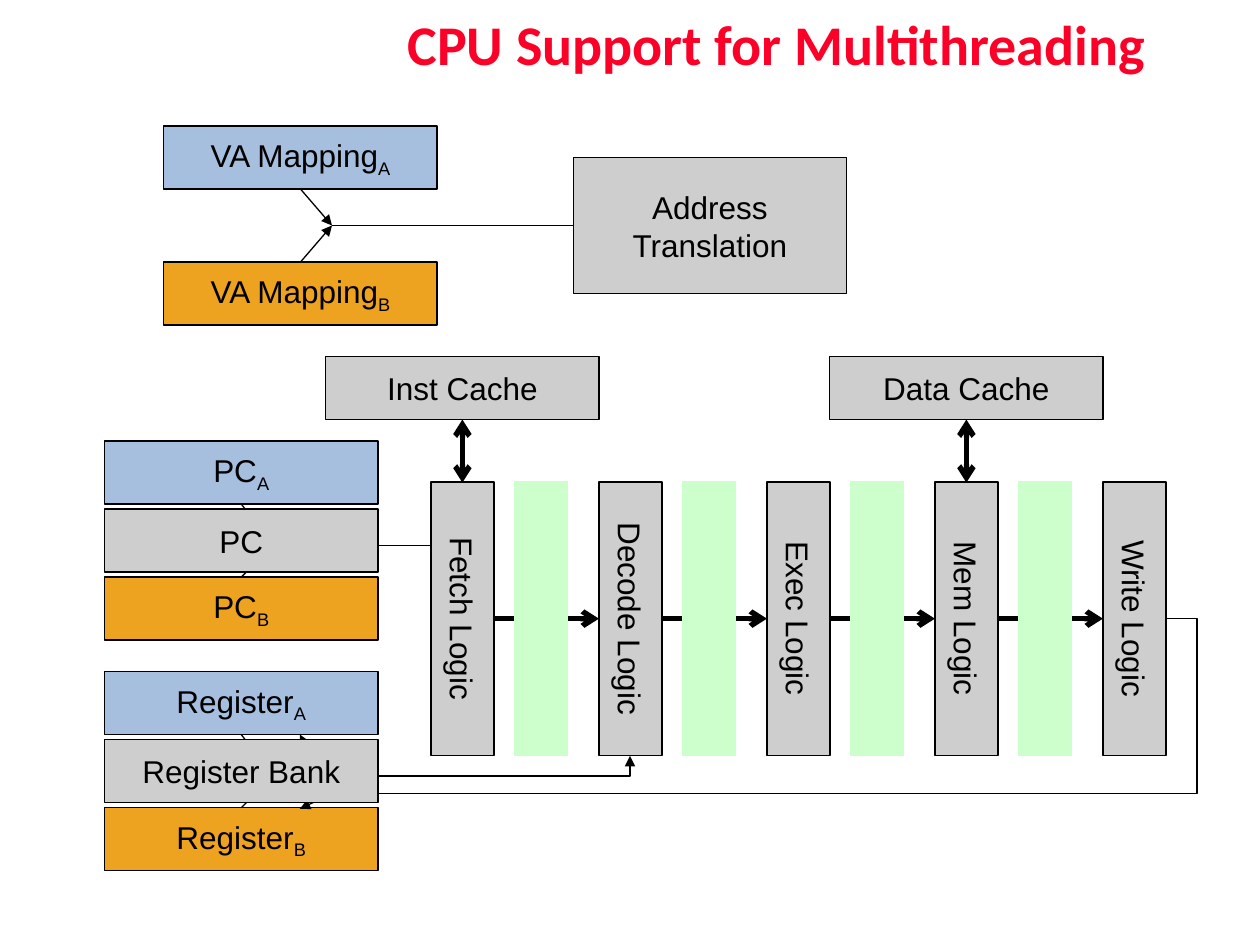
from dataclasses import dataclass

from pptx import Presentation
from pptx import util as u
from pptx.dml.color import RGBColor
from pptx.enum import shapes, text
from pptx.oxml import ns, xmlchemy


@dataclass(frozen=True)
class Theme:
    title: str = "FC0128"
    ink: str = "000000"
    logic: str = "CECECE"
    latch: str = "CCFFCC"
    thread_a: str = "A6BFDE"
    thread_b: str = "EDA31F"
    title_font: str = "Calibri"
    body_font: str = "Arial"
    title_size: int = 32
    body_size: int = 18
    thin: float = 0.75
    thick: float = 3


THEME = Theme()

TITLE = "CPU Support for Multithreading"
STAGES = ["Fetch Logic", "Decode Logic", "Exec Logic", "Mem Logic", "Write Logic"]
# cache name, index of the stage it serves
CACHES = [("Data Cache", 3), ("Inst Cache", 0)]
# name, left, top, drop from top to the junction, x where the output wire ends
THREAD_PAIRS = [
    ("PC", 0.83, 3.5, 0.83, 3.42),
    ("VA Mapping", 1.3, 1, 0.79, 4.55),
    ("Register", 0.83, 5.33, 0.83, 3.42),
]
# lines of text, left, top, height
SHARED_UNITS = [
    (["Address", "Translation"], 4.55, 1.25, 1.08),
    (["PC"], 0.83, 4.04, 0.5),
    (["Register Bank"], 0.83, 5.87, 0.5),
]

BOX_WIDTH, BOX_HEIGHT = 2.17, 0.5
PAIR_STEP = 1.08
STAGE_X, STAGE_Y, STAGE_PITCH = 3.67, 4.91, 4 / 3
LATCH_OFFSET, LATCH_WIDTH = 0.625, 0.42
CACHE_TOP, STAGE_TOP = 2.83, 3.83

presentation = Presentation()
presentation.slide_width = u.Inches(10)
presentation.slide_height = u.Inches(7.5)
slide = presentation.slides.add_slide(presentation.slide_layouts[6])


def rgb(value):
    return RGBColor.from_string(value)


def add_run(paragraph, wording, font, size, color, bold=False):
    run = paragraph.add_run()
    run.text = wording
    run.font.name = font
    run.font.size = u.Pt(size)
    run.font.bold = bold
    run.font.color.rgb = rgb(color)
    return run


def add_box(left, top, width, height, fill, lines=(), subscript="",
            rotation=0, outline=THEME.ink):
    shape = slide.shapes.add_shape(
        shapes.MSO_SHAPE.RECTANGLE,
        *map(u.Inches, (left, top, width, height)))
    shape.shadow.inherit = False
    shape.rotation = rotation
    shape.fill.solid()
    shape.fill.fore_color.rgb = rgb(fill)
    shape.line.color.rgb = rgb(outline)
    shape.line.width = u.Pt(THEME.thin)
    frame = shape.text_frame
    frame.word_wrap = False
    frame.vertical_anchor = text.MSO_ANCHOR.MIDDLE
    for index, wording in enumerate(lines):
        paragraph = frame.add_paragraph() if index else frame.paragraphs[0]
        paragraph.alignment = text.PP_ALIGN.CENTER
        style = (THEME.body_font, THEME.body_size, THEME.ink)
        add_run(paragraph, wording, *style)
        if subscript:
            run = add_run(paragraph, subscript, *style)
            run.font._element.set("baseline", "-25000")
    return shape


def add_upright_box(center_x, thickness, fill, **options):
    """Add a box turned by 90 degrees and centred on the pipeline axis."""
    add_box(center_x - BOX_WIDTH / 2, STAGE_Y - thickness / 2,
            BOX_WIDTH, thickness, fill, rotation=90, **options)


def add_wire(start, end, width=THEME.thin, head=None, tail=None,
             kind=shapes.MSO_CONNECTOR.STRAIGHT):
    wire = slide.shapes.add_connector(kind, *map(u.Inches, (*start, *end)))
    wire.line.color.rgb = rgb(THEME.ink)
    wire.line.width = u.Pt(width)
    line = wire.line._get_or_add_ln()
    for tag, arrow in (("a:headEnd", head), ("a:tailEnd", tail)):
        if arrow:
            end_mark = xmlchemy.OxmlElement(tag)
            end_mark.set("type", arrow)
            line.append(end_mark)
    wire.element.spPr.append(xmlchemy.OxmlElement("a:effectLst"))
    return wire


def add_bent_wire(start, end, preset, adjustment=None):
    wire = add_wire(start, end, tail="triangle", kind=shapes.MSO_CONNECTOR.ELBOW)
    geometry = wire.element.spPr.find(ns.qn("a:prstGeom"))
    geometry.set("prst", preset)
    if adjustment is not None:
        guide = xmlchemy.OxmlElement("a:gd")
        guide.set("name", "adj1")
        guide.set("fmla", f"val {adjustment}")
        geometry.find(ns.qn("a:avLst")).append(guide)


def add_title():
    box = slide.shapes.add_textbox(*map(u.Inches, (2.33, 0, 7.67, 0.75)))
    box.text_frame.word_wrap = True
    box.text_frame.vertical_anchor = text.MSO_ANCHOR.MIDDLE
    paragraph = box.text_frame.paragraphs[0]
    paragraph.alignment = text.PP_ALIGN.CENTER
    paragraph.line_spacing = 0.9
    add_run(paragraph, TITLE, THEME.title_font, THEME.title_size, THEME.title, True)


def add_pipeline():
    centers = [STAGE_X + STAGE_PITCH * index for index in range(len(STAGES))]
    half = BOX_HEIGHT / 2
    for current, following in zip(centers, centers[1:]):
        add_wire((current + half, STAGE_Y), (following - half, STAGE_Y),
                 THEME.thick, tail="arrow")
    for name, center in zip(STAGES, centers):
        add_upright_box(center, BOX_HEIGHT, THEME.logic, lines=[name])
    for center in centers[:-1]:
        add_upright_box(center + LATCH_OFFSET, LATCH_WIDTH, THEME.latch,
                        outline=THEME.latch)
    for name, stage in CACHES:
        center = centers[stage]
        add_box(center - BOX_WIDTH / 2, CACHE_TOP, BOX_WIDTH, BOX_HEIGHT,
                THEME.logic, [name])
        add_wire((center, CACHE_TOP + BOX_HEIGHT), (center, STAGE_TOP),
                 THEME.thick, head="arrow", tail="arrow")


def add_thread_pair(name, left, top, drop, wire_end):
    """Add the boxes of threads A and B, merged into one output wire."""
    lower = top + PAIR_STEP
    center = left + BOX_WIDTH / 2
    junction = (center + 0.25, top + drop)
    add_box(left, top, BOX_WIDTH, BOX_HEIGHT, THEME.thread_a, [name], "A")
    add_box(left, lower, BOX_WIDTH, BOX_HEIGHT, THEME.thread_b, [name], "B")
    add_wire((center, top + BOX_HEIGHT), junction, tail="triangle")
    add_wire((wire_end, junction[1]), junction)
    add_wire((center, lower), junction, tail="triangle")


def add_register_wires():
    """Add the register read into decode and the write-back loop."""
    write_back = (2.63, 6.3)
    add_bent_wire((2.17, 6.16), (5, 6), "bentConnector2")
    add_bent_wire((9.25, STAGE_Y), write_back, "bentConnector3", -3800)
    for target in ((2.38, 6.42), (2.38, 5.83)):
        add_wire(write_back, target, tail="triangle")


add_title()
add_pipeline()
for pair in THREAD_PAIRS:
    add_thread_pair(*pair)
add_register_wires()
for lines, left, top, height in SHARED_UNITS:
    add_box(left, top, BOX_WIDTH, height, THEME.logic, lines)
presentation.save("out.pptx")
